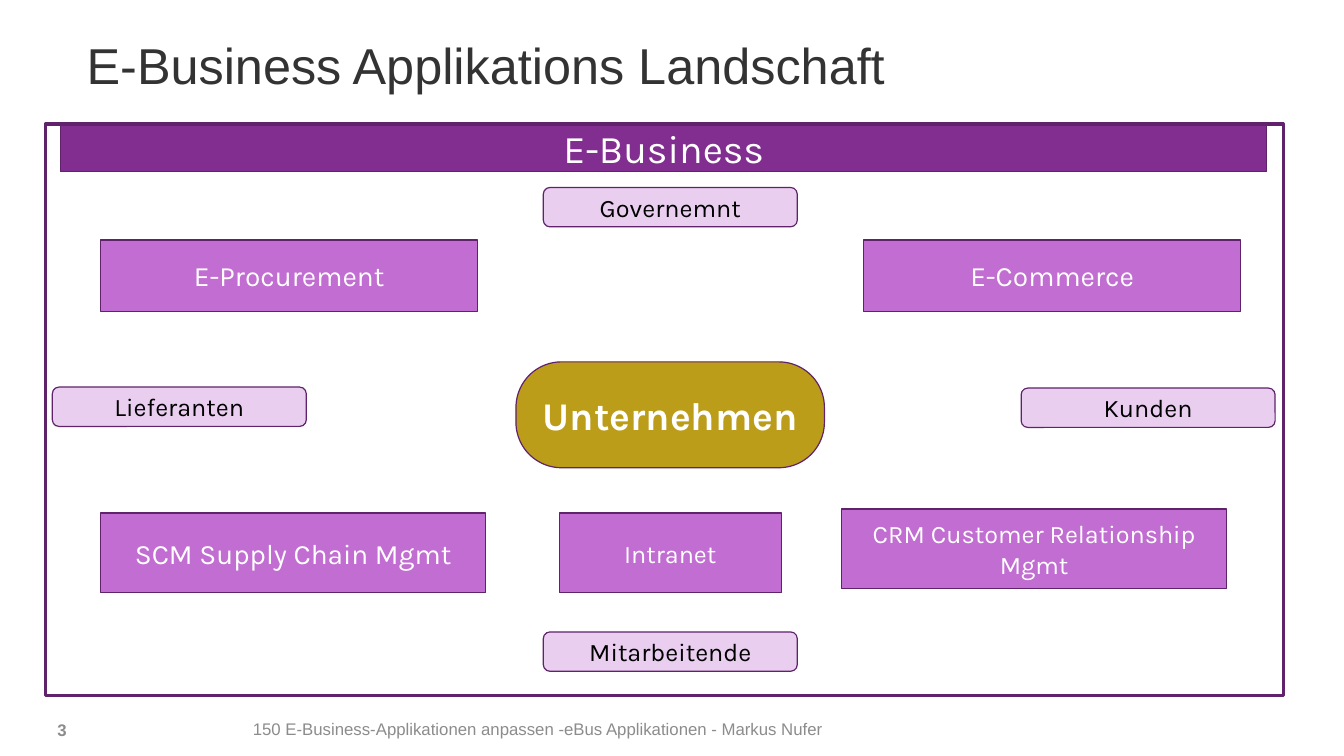
from dataclasses import dataclass

from pptx import Presentation
from pptx.dml.color import RGBColor
from pptx.enum.shapes import MSO_SHAPE as Preset
from pptx.enum.text import MSO_ANCHOR as Anchor, MSO_AUTO_SIZE as AutoSize, PP_ALIGN as Align
from pptx.util import Pt


@dataclass(frozen=True)
class Theme:
    heading_font: str = "Arial"
    label_font: str = "Karla"
    heading: str = "333333"
    footer: str = "8C8C8C"
    outline: str = "5F226B"
    banner: str = "812E90"
    application: str = "C16DD1"
    partner: str = "EACEF0"
    company: str = "BC9D19"
    light: str = "FFFFFF"
    dark: str = "000000"
    title_size: int = 36
    large_size: int = 28
    application_size: int = 20
    small_size: int = 18
    footer_size: int = 12
    thin: float = 0.85
    thick: float = 2.25


THEME = Theme()

# Left, top, width, height in points
BANNER = (43.2, 88.6, 861.8, 33.8)
FRAME = (32.4, 88.6, 884.2, 408.2)
COMPANY = (368.6, 258.5, 220.3, 75.6)
PARTNER_SIZE = (181.4, 28.1)
PARTNERS = [
    ("Lieferanten", 37.4, 276.5),
    ("Kunden", 729.4, 277.2),
    ("Mitarbeitende", 388.1, 451.4),
    ("Governemnt", 388.1, 133.9),
]
APPLICATIONS = [
    ("E-Procurement", (72, 171.4, 269.3, 51.1), THEME.application_size),
    ("E-Commerce", (617, 171.4, 269.3, 51.1), THEME.application_size),
    ("SCM Supply Chain Mgmt", (72, 366.5, 275, 56.9), THEME.application_size),
    ("CRM Customer Relationship Mgmt", (601.2, 363.6, 275, 56.9), THEME.small_size),
    ("Intranet", (399.6, 366.5, 158.4, 56.9), THEME.small_size),
]


def points(box):
    return [Pt(length) for length in box]


def set_all(target, formats):
    for name, value in formats.items():
        setattr(target, name, value)


def write(frame, wording, font, size, color, align, bold=False):
    line = frame.paragraphs[0]
    line.alignment = align
    run = line.add_run()
    run.text = wording
    set_all(run.font, {"name": font, "size": Pt(size), "bold": bold})
    run.font.color.rgb = RGBColor.from_string(color)
    return line


def add_outlined(slide, preset, box, fill=None, weight=THEME.thin):
    block = slide.shapes.add_shape(preset, *points(box))
    block.shadow.inherit = False
    if fill:
        block.fill.solid()
        block.fill.fore_color.rgb = RGBColor.from_string(fill)
    else:
        block.fill.background()
    block.line.color.rgb = RGBColor.from_string(THEME.outline)
    block.line.width = Pt(weight)
    return block


def add_label(slide, preset, box, fill, wording, size, color=THEME.light, bold=False):
    block = add_outlined(slide, preset, box, fill)
    block.text_frame.vertical_anchor = Anchor.MIDDLE
    write(block.text_frame, wording, THEME.label_font, size, color, Align.CENTER, bold)
    return block


def add_title(slide, wording):
    title = slide.shapes.title
    set_all(title, dict(zip(("left", "top", "width", "height"),
                            points((54.7, 25.9, 850.3, 103.7)))))
    set_all(title.text_frame, {"vertical_anchor": Anchor.TOP, "word_wrap": True,
                               "auto_size": AutoSize.NONE})
    line = write(title.text_frame, wording, THEME.heading_font, THEME.title_size,
                 THEME.heading, Align.LEFT)
    line.line_spacing = 0.9


def add_footer(slide, box, wording, align, wrap, bold=False):
    frame = slide.shapes.add_textbox(*points(box)).text_frame
    set_all(frame, {"vertical_anchor": Anchor.BOTTOM, "word_wrap": wrap,
                    "margin_bottom": Pt(11.5)})
    write(frame, wording, THEME.heading_font, THEME.footer_size, THEME.footer, align, bold)


def main():
    deck = Presentation()
    set_all(deck, {"slide_width": Pt(960), "slide_height": Pt(540)})
    slide = deck.slides.add_slide(deck.slide_layouts[5])
    add_title(slide, "E-Business Applikations Landschaft")

    # Landscape frame and banner
    add_label(slide, Preset.RECTANGLE, BANNER, THEME.banner, "E-Business", THEME.large_size)
    add_outlined(slide, Preset.RECTANGLE, FRAME, weight=THEME.thick)

    # Company in the centre
    company = add_label(slide, Preset.ROUNDED_RECTANGLE, COMPANY, THEME.company,
                        "Unternehmen", THEME.large_size, bold=True)
    company.adjustments[0] = 0.43

    # Applications
    for wording, box, size in APPLICATIONS:
        add_label(slide, Preset.RECTANGLE, box, THEME.application, wording, size)

    # Partners around the company
    for wording, left, top in PARTNERS:
        add_label(slide, Preset.ROUNDED_RECTANGLE, (left, top, *PARTNER_SIZE),
                  THEME.partner, wording, THEME.small_size, THEME.dark)

    # Footer and page number
    add_footer(slide, (173.5, 507.6, 640.8, 31.7),
               "150 E-Business-Applikationen anpassen -eBus Applikationen - Markus Nufer",
               Align.LEFT, wrap=False)
    add_footer(slide, (11.5, 508.3, 43.2, 31.7), "3", Align.RIGHT, wrap=True, bold=True)

    deck.save("out.pptx")


if __name__ == "__main__":
    main()
